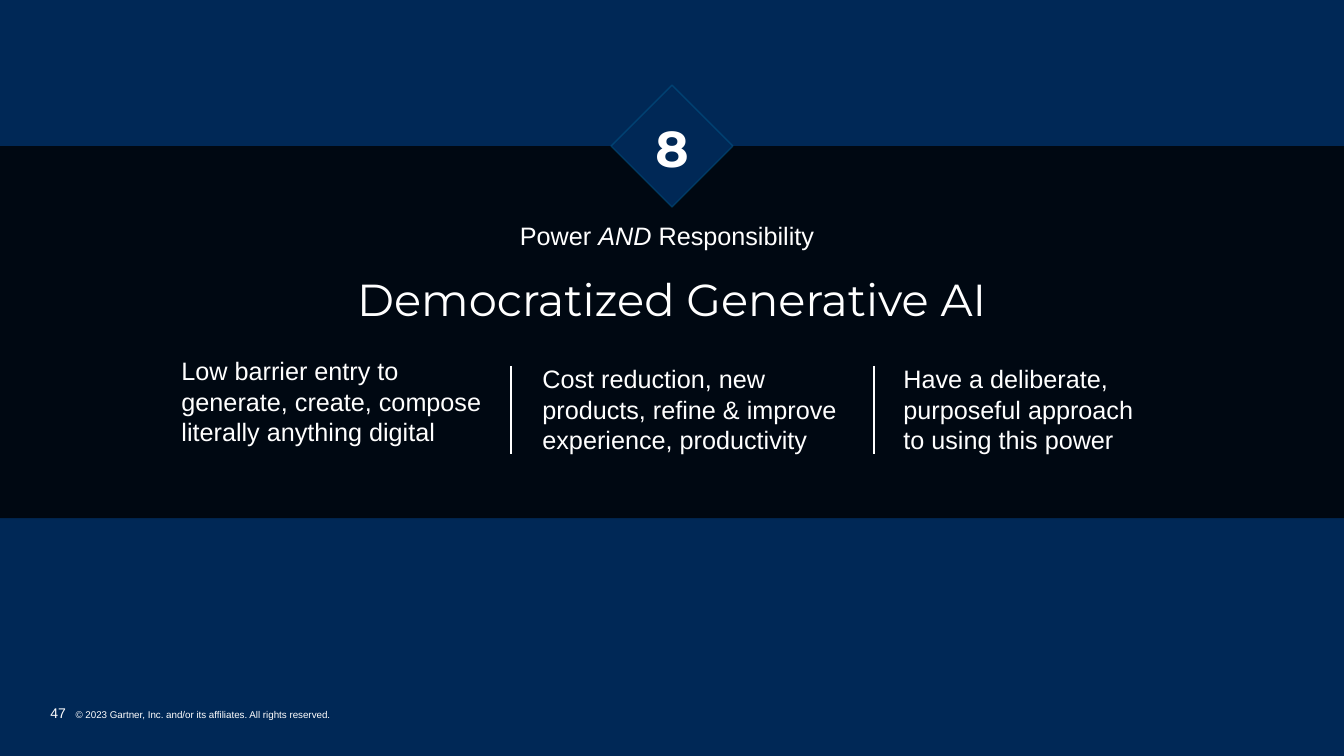
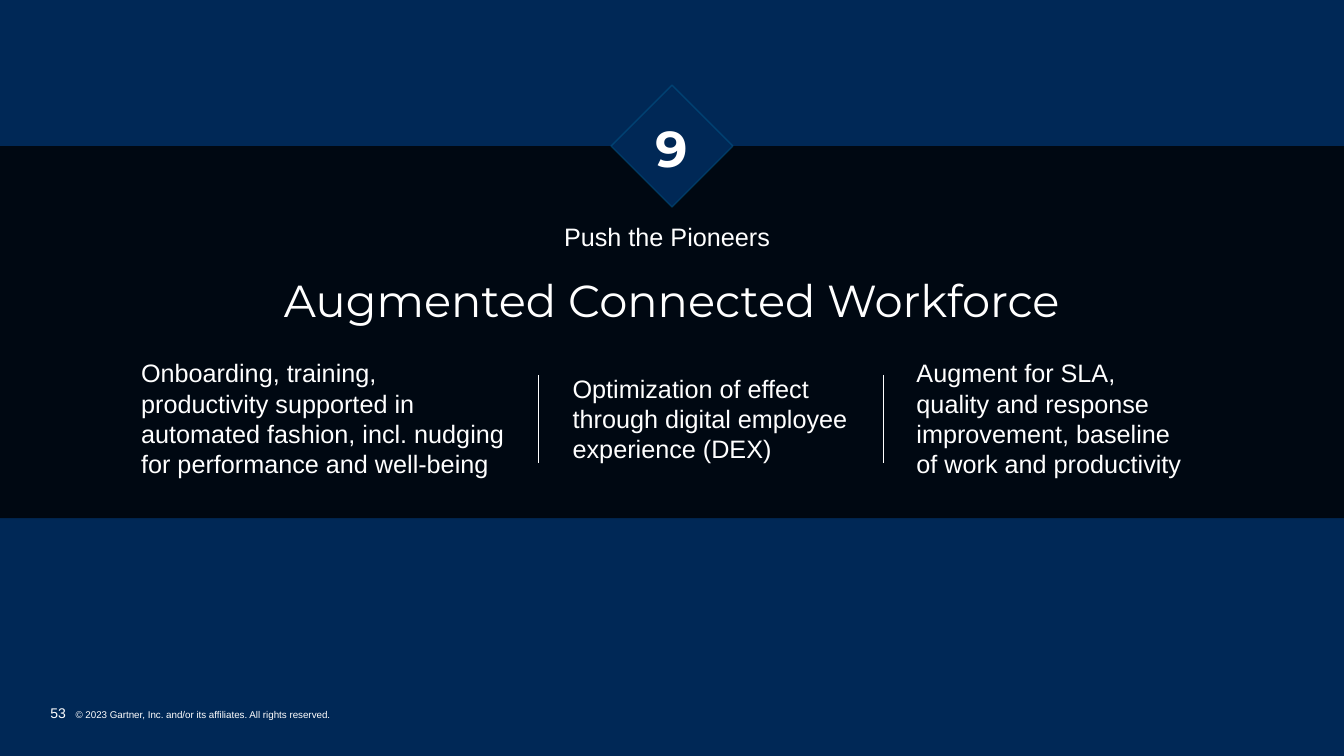
from dataclasses import dataclass

import pptx
import pptx.dml.color
import pptx.enum.shapes
import pptx.enum.text
import pptx.oxml
import pptx.oxml.ns
import pptx.util
from pptx.util import Inches

COLORS = {"navy": "002856", "black": "000000", "white": "FFFFFF", "cyan": "009AD7"}
BODY_FONT = "Arial"
HEADING_FONT = "Montserrat"
SLIDE_WIDTH = 13.33
BAND_TOP = 1.45
BAND_HEIGHT = 3.69
DIAMOND_SIZE = 1.21
DIVIDER_HEIGHT = 0.87
TITLE_OFFSET = 0.62
COPYRIGHT = "© 2023 Gartner, Inc. and/or its affiliates. All rights reserved."
ALIGN = pptx.enum.text.PP_ALIGN
ANCHOR = pptx.enum.text.MSO_ANCHOR
SHAPE = pptx.enum.shapes.MSO_SHAPE


@dataclass(frozen=True)
class Column:
    left: float
    top: float
    width: float
    height: float
    text: str


@dataclass(frozen=True)
class Trend:
    page: int
    number: int
    theme: list[str]
    name: str
    theme_top: float
    columns: list[Column]
    divider_lefts: list[float]
    divider_top: float


TRENDS = [
    Trend(
        47, 8, ["Power ", "AND", " Responsibility"], "Democratized Generative AI", 2.14,
        [
            Column(1.8, 3.48, 3.13, 1.01,
                   "Low barrier entry to generate, create, compose literally anything digital"),
            Column(5.38, 3.56, 3.13, 1.01,
                   "Cost reduction, new products, refine & improve experience, productivity"),
            Column(8.96, 3.56, 2.45, 1.01,
                   "Have a deliberate, purposeful approach to using this power"),
        ],
        [5.07, 8.67], 3.63,
    ),
    Trend(
        53, 9, ["Push the Pioneers"], "Augmented Connected Workforce", 2.15,
        [
            Column(1.4, 3.5, 3.76, 1.31,
                   "Onboarding, training, productivity supported in automated fashion, "
                   "incl. nudging for performance and well-being"),
            Column(5.68, 3.65, 2.83, 1.01,
                   "Optimization of effect through digital employee experience (DEX)"),
            Column(9.09, 3.5, 2.83, 1.31,
                   "Augment for SLA, quality and response improvement, "
                   "baseline of work and productivity"),
        ],
        [5.34, 8.76], 3.72,
    ),
]


def rgb(name: str) -> pptx.dml.color.RGBColor:
    return pptx.dml.color.RGBColor.from_string(COLORS[name])


def set_opacity(color_parent, percent: int) -> None:
    color = color_parent.find(".//" + pptx.oxml.ns.qn("a:srgbClr"))
    alpha = pptx.oxml.parse_xml(f'<a:alpha {pptx.oxml.ns.nsdecls("a")} val="{percent * 1000}"/>')
    color.append(alpha)


def style_run(run, size: float, font: str = BODY_FONT, bold: bool = False) -> None:
    run.font.size = pptx.util.Pt(size)
    run.font.name = font
    run.font.bold = bold
    run.font.color.rgb = rgb("white")


def set_margins(frame, left: float, top: float, right: float, bottom: float) -> None:
    frame.margin_left, frame.margin_top = Inches(left), Inches(top)
    frame.margin_right, frame.margin_bottom = Inches(right), Inches(bottom)


def add_text(shapes, left: float, top: float, width: float, height: float, parts: list[str],
             size: float = 18, font: str = BODY_FONT, align=ALIGN.LEFT, bold: bool = False):
    box = shapes.add_textbox(Inches(left), Inches(top), Inches(width), Inches(height))
    frame = box.text_frame
    frame.word_wrap = True
    set_margins(frame, 0, 0.05, 0.1, 0.05)
    paragraph = frame.paragraphs[0]
    paragraph.alignment = align
    for part in parts:
        run = paragraph.add_run()
        run.text = part
        style_run(run, size, font, bold)
    return box


def add_footer(slide, page: int) -> None:
    box = add_text(slide.shapes, 0.5, 6.99, 7.99, 0.17, [str(page), "\t" + COPYRIGHT], 10)
    frame = box.text_frame
    set_margins(frame, 0, 0, 0, 0)
    frame.vertical_anchor = ANCHOR.BOTTOM
    paragraph = frame.paragraphs[0]
    properties = paragraph._p.get_or_add_pPr()
    properties.set("marL", str(Inches(0.25)))
    properties.set("indent", str(-Inches(0.25)))
    paragraph.runs[1].font.size = pptx.util.Pt(7)


def add_band(slide) -> None:
    band = slide.shapes.add_shape(SHAPE.RECTANGLE, 0, Inches(BAND_TOP),
                                  Inches(SLIDE_WIDTH), Inches(BAND_HEIGHT))
    band.shadow.inherit = False
    band.fill.solid()
    band.fill.fore_color.rgb = rgb("black")
    set_opacity(band._element.spPr, 79)
    band.line.fill.background()
    slide.shapes._spTree.insert(2, band._element)


def set_title(slide, text: str, top: float) -> None:
    title = slide.shapes.title
    title.left, title.top = Inches(0.5), Inches(top)
    title.width, title.height = Inches(12.33), Inches(0.48)
    frame = title.text_frame
    frame.text = text
    frame.auto_size = pptx.enum.text.MSO_AUTO_SIZE.NONE
    frame.vertical_anchor = ANCHOR.MIDDLE
    set_margins(frame, 0.1, 0.05, 0.1, 0.05)
    paragraph = frame.paragraphs[0]
    paragraph.alignment = ALIGN.CENTER
    paragraph.line_spacing = 0.9
    style_run(paragraph.runs[0], 32, HEADING_FONT)


def add_divider(slide, left: float, top: float) -> None:
    divider = slide.shapes.add_connector(
        pptx.enum.shapes.MSO_CONNECTOR.STRAIGHT,
        Inches(left), Inches(top), Inches(left), Inches(top + DIVIDER_HEIGHT))
    divider.line.color.rgb = rgb("white")
    divider.line.width = pptx.util.Pt(1)
    effects = pptx.oxml.parse_xml(f'<a:effectLst {pptx.oxml.ns.nsdecls("a")}/>')
    divider._element.spPr.append(effects)


def add_badge(slide, number: int) -> None:
    badge = slide.shapes.add_group_shape()
    diamond = badge.shapes.add_shape(
        SHAPE.DIAMOND,
        Inches((SLIDE_WIDTH - DIAMOND_SIZE) / 2), Inches(BAND_TOP - DIAMOND_SIZE / 2),
        Inches(DIAMOND_SIZE), Inches(DIAMOND_SIZE))
    diamond.shadow.inherit = False
    diamond.fill.solid()
    diamond.fill.fore_color.rgb = rgb("navy")
    diamond.line.color.rgb = rgb("cyan")
    diamond.line.width = pptx.util.Pt(1)
    set_opacity(diamond._element.spPr.find(pptx.oxml.ns.qn("a:ln")), 22)
    add_text(badge.shapes, 6.5, 1.11, 0.4, 0.71, [str(number)], 36, HEADING_FONT,
             ALIGN.RIGHT, True)


def add_trend_slide(presentation, trend: Trend) -> None:
    slide = presentation.slides.add_slide(presentation.slide_layouts[5])
    add_band(slide)
    add_footer(slide, trend.page)
    theme = add_text(slide.shapes, 3.6, trend.theme_top, 6.13, 0.4, trend.theme,
                     align=ALIGN.CENTER)
    for run in theme.text_frame.paragraphs[0].runs:
        run.font.italic = run.text == "AND"
    set_title(slide, trend.name, trend.theme_top + TITLE_OFFSET)
    for column in trend.columns:
        add_text(slide.shapes, column.left, column.top, column.width, column.height,
                 [column.text])
    for left in trend.divider_lefts:
        add_divider(slide, left, trend.divider_top)
    add_badge(slide, trend.number)


def main() -> None:
    presentation = pptx.Presentation()
    presentation.slide_width = Inches(SLIDE_WIDTH)
    presentation.slide_height = Inches(7.5)
    background = presentation.slide_master.background.fill
    background.solid()
    background.fore_color.rgb = rgb("navy")
    for trend in TRENDS:
        add_trend_slide(presentation, trend)
    presentation.save("out.pptx")


if __name__ == "__main__":
    main()
